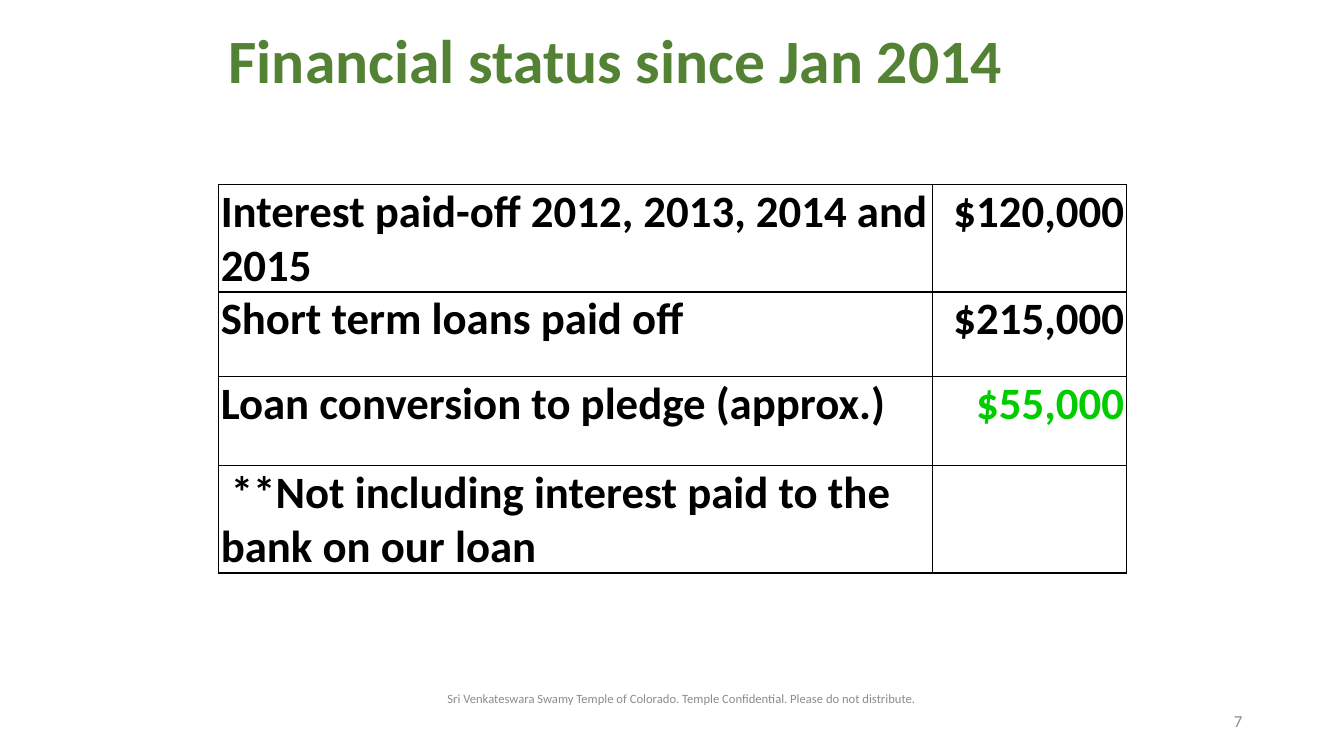
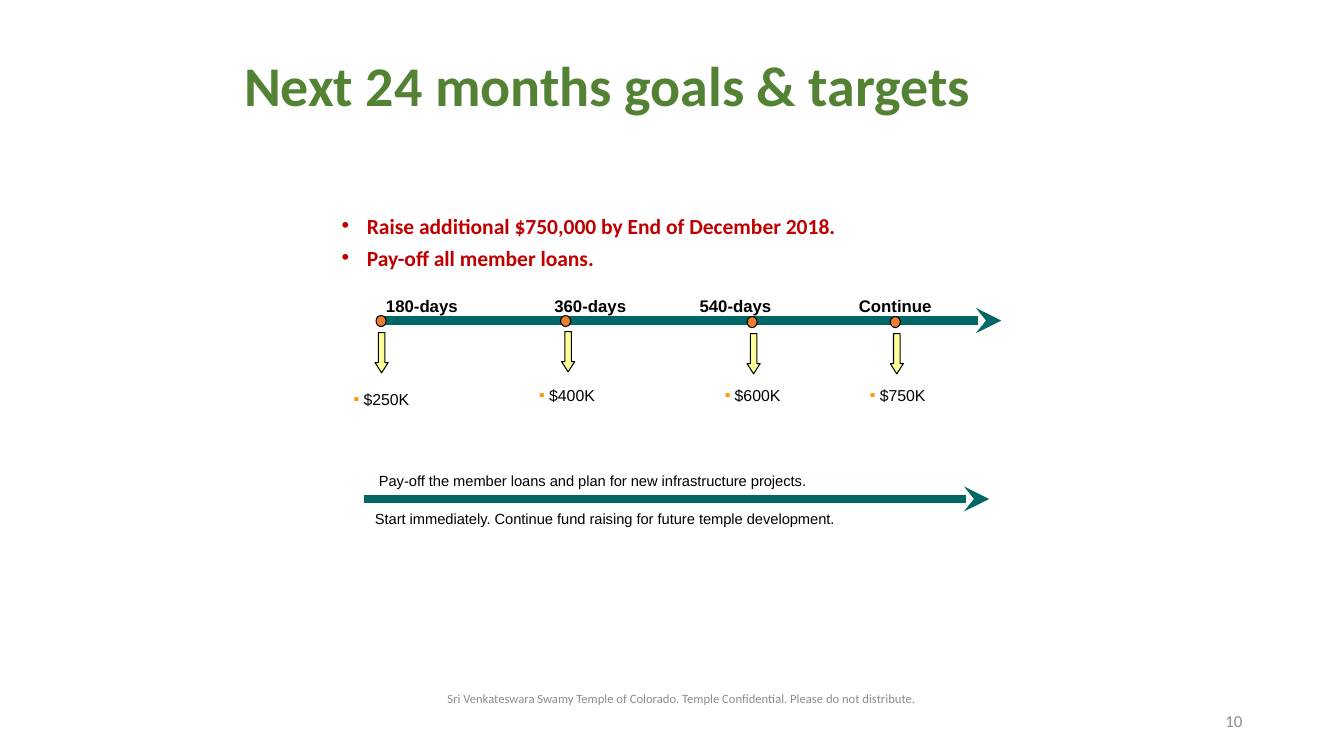
from lxml.etree import SubElement
from pptx import Presentation
from pptx.dml.color import RGBColor
from pptx.enum.shapes import MSO_CONNECTOR, MSO_SHAPE
from pptx.enum.text import MSO_ANCHOR, PP_ALIGN
from pptx.oxml.ns import qn
from pptx.util import Inches, Pt

COLORS = {
    "title": "548235", "text": "000000", "muted": "8C8C8C", "goal": "C00000",
    "pledge": "00CC00", "timeline": "006666", "dot": "ED7D31",
    "arrow": "FFFF99", "bullet": "FF9900",
}
FOOTER = ("Sri Venkateswara Swamy Temple of Colorado. "
          "Temple Confidential. Please do not distribute.")


def color(name):
    return RGBColor.from_string(COLORS[name])


class DeckBuilder:
    """Holds the shared style and the slide being filled."""

    def __init__(self):
        self.deck = Presentation()
        self.deck.slide_width = Inches(13.33)
        self.deck.slide_height = Inches(7.5)
        self.slide = None

    def add_page(self, number):
        self.slide = self.deck.slides.add_slide(self.deck.slide_layouts[6])
        self.text((9.42, 6.95, 3, 0.4), [str(number)], 12, "muted",
                  align=PP_ALIGN.RIGHT, anchor=MSO_ANCHOR.MIDDLE)
        self.text((4.1, 6.78, 5.31, 0.3), [FOOTER], 9, "muted",
                  align=PP_ALIGN.CENTER, anchor=MSO_ANCHOR.MIDDLE)

    def title(self, place, title, size, **options):
        self.text(place, [title], size, "title", bold=True, **options)

    def style(self, paragraph, size, tone, font="Calibri", bold=False,
              align=PP_ALIGN.LEFT):
        paragraph.alignment = align
        for span in paragraph.runs:
            span.font.name = font
            span.font.size = Pt(size)
            span.font.bold = bold
            span.font.color.rgb = color(tone)

    def bullet(self, paragraph, mark, tone, indent):
        properties = paragraph._p.get_or_add_pPr()
        properties.set("marL", str(Inches(indent)))
        properties.set("indent", str(-Inches(indent)))
        fill = SubElement(properties, qn("a:buClr"))
        SubElement(fill, qn("a:srgbClr"), val=COLORS[tone])
        SubElement(properties, qn("a:buFont"), typeface="Arial")
        SubElement(properties, qn("a:buChar"), char=mark)

    def text(self, place, lines, size, tone, anchor=MSO_ANCHOR.TOP,
             insets=(0.1, 0.05, 0.1, 0.05), spacing=None, gap=0,
             bullet=None, **style):
        box = self.slide.shapes.add_textbox(*map(Inches, place))
        frame = box.text_frame
        frame.word_wrap = True
        frame.vertical_anchor = anchor
        (frame.margin_left, frame.margin_top,
         frame.margin_right, frame.margin_bottom) = map(Inches, insets)
        for index, line in enumerate(lines):
            para = frame.add_paragraph() if index else frame.paragraphs[0]
            para.text = line
            if bullet:
                self.bullet(para, *bullet)
            if spacing:
                para.line_spacing = spacing
            if index:
                para.space_before = Pt(gap)
            self.style(para, size, tone, **style)

    def shape(self, kind, place, tone):
        shape = self.slide.shapes.add_shape(kind, *map(Inches, place))
        shape.shadow.inherit = False
        shape.fill.solid()
        shape.fill.fore_color.rgb = color(tone)
        shape.line.color.rgb = color("text")
        shape.line.width = Pt(0.75)
        return shape

    def timeline(self, left, right, top):
        connector = self.slide.shapes.add_connector(
            MSO_CONNECTOR.STRAIGHT, *map(Inches, (left, top, right, top)))
        connector.line.color.rgb = color("timeline")
        connector.line.width = Pt(6)
        properties = connector._element.spPr
        SubElement(properties.find(qn("a:ln")), qn("a:tailEnd"), type="stealth")
        SubElement(properties, qn("a:effectLst"))

    def border(self, cell):
        properties = cell._tc.get_or_add_tcPr()
        for side in ("lnL", "lnR", "lnT", "lnB"):
            line = SubElement(properties, qn(f"a:{side}"), w=str(Pt(1)))
            fill = SubElement(line, qn("a:solidFill"))
            SubElement(fill, qn("a:srgbClr"), val=COLORS["text"])

    def table(self, place, widths, heights, rows):
        table = self.slide.shapes.add_table(
            len(rows), len(widths), *map(Inches, place)).table
        table.first_row = table.horz_banding = False
        for column, width in zip(table.columns, widths):
            column.width = Inches(width)
        for row, height, (label, amount, tone) in zip(table.rows, heights, rows):
            row.height = Inches(height)
            entries = ((label, "text", PP_ALIGN.LEFT),
                       (amount, tone, PP_ALIGN.RIGHT))
            for cell, (words, shade, align) in zip(row.cells, entries):
                self.border(cell)
                cell.fill.background()
                cell.margin_left = cell.margin_right = Inches(0.02)
                cell.margin_top = cell.margin_bottom = 0
                if words:
                    para = cell.text_frame.paragraphs[0]
                    para.text = words
                    self.style(para, 32, shade, bold=True, align=align)

    def milestone(self, label, amount, label_left, dot, arrow, amount_place):
        self.shape(MSO_SHAPE.OVAL, (*dot, 0.1, 0.11), "dot")
        pointer = self.shape(MSO_SHAPE.DOWN_ARROW, (*arrow, 0.13, 0.4), "arrow")
        pointer.adjustments[0] = 0.5
        pointer.adjustments[1] = 0.79
        self.text((label_left, 2.88, 1.24, 0.3), [label], 12, "text",
                  font="Arial", bold=True)
        self.text((*amount_place, 1.5, 0.23), [amount], 11.3, "text",
                  font="Arial", spacing=0.7, bullet=("▪", "bullet", 0))


def build_financial_status(builder):
    builder.add_page(7)
    builder.title((2.17, 0.25, 9, 0.77), "Financial status since Jan 2014", 44,
                  anchor=MSO_ANCHOR.MIDDLE, spacing=0.9)
    builder.table((2.17, 1.83, 9, 3.35), (7.08, 1.92), (0.75, 0.84, 0.88, 0.88), [
        ("Interest paid-off 2012, 2013, 2014 and 2015", "$120,000", "text"),
        ("Short term loans paid off", "$215,000", "text"),
        ("Loan conversion to pledge (approx.)", "$55,000", "pledge"),
        (" **Not including interest paid to the bank on our loan", "", "text"),
    ])


def build_goals(builder):
    builder.add_page(10)
    builder.title((2.42, 0.67, 7.62, 0.5), "Next 24 months goals & targets", 40,
                  anchor=MSO_ANCHOR.BOTTOM, insets=(0, 0.04, 0, 0))
    builder.text((3.29, 2.13, 6.75, 0.6),
                 ["Raise additional $750,000 by End of December 2018.",
                  "Pay-off all member loans."],
                 15.4, "goal", bold=True, spacing=0.7, gap=10,
                 bullet=("•", "goal", 0.25))

    # Fund raising milestones
    builder.timeline(3.74, 9.93, 3.18)
    milestones = [
        ("180-days", " $250K", 3.73, (3.73, 3.13), (3.72, 3.3), (3.41, 3.87)),
        ("360-days", " $400K", 5.4, (5.56, 3.13), (5.57, 3.29), (5.25, 3.83)),
        ("540-days", " $600K", 6.84, (7.41, 3.14), (7.41, 3.31), (7.09, 3.83)),
        ("Continue", " $750K", 8.42, (8.83, 3.14), (8.83, 3.31), (8.53, 3.83)),
    ]
    for milestone in milestones:
        builder.milestone(*milestone)

    # Ongoing work
    builder.timeline(3.61, 9.81, 4.95)
    for left, top, line in (
        (3.66, 4.63, "Pay-off the member loans and plan for new "
                     "infrastructure projects."),
        (3.62, 5.01, "Start immediately. Continue fund raising for "
                     "future temple development."),
    ):
        builder.text((left, top, 6, 0.28), [line], 10.5, "text", font="Arial")


def main():
    builder = DeckBuilder()
    build_financial_status(builder)
    build_goals(builder)
    builder.deck.save("out.pptx")


if __name__ == "__main__":
    main()
